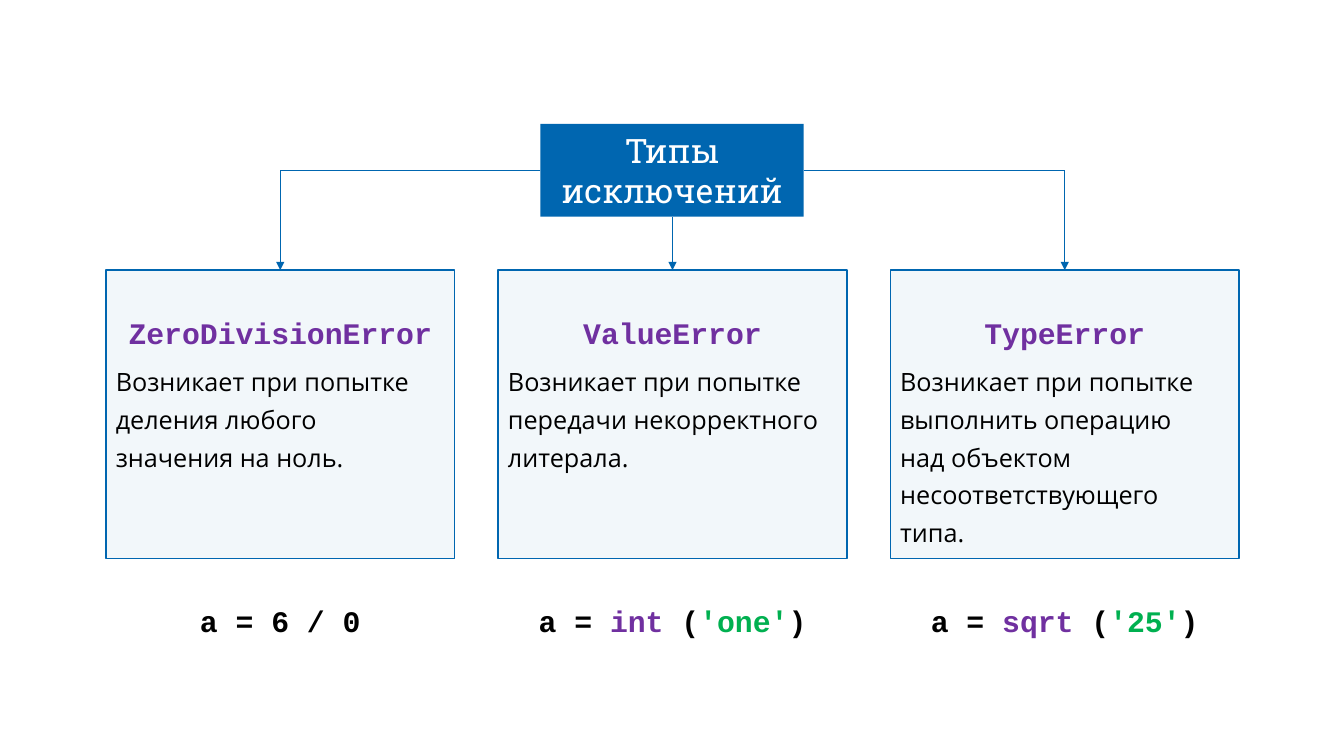
from lxml.etree import SubElement
from pptx import Presentation
from pptx.dml.color import RGBColor
from pptx.enum.shapes import MSO_CONNECTOR, MSO_SHAPE
from pptx.enum.text import MSO_ANCHOR, MSO_AUTO_SIZE, PP_ALIGN
from pptx.oxml.ns import qn
from pptx.util import Inches, Pt

COLORS = {
    "blue": "0066B0",
    "purple": "7030A0",
    "green": "00B050",
    "black": "000000",
    "white": "FFFFFF",
}


class ExceptionSlide:
    heading_font = "Roboto Slab"
    body_font = "Open Sans"
    code_font = "Courier New"
    code_size = 21.3

    def __init__(self, presentation):
        self.slide = presentation.slides.add_slide(presentation.slide_layouts[5])

    def color(self, name):
        return RGBColor.from_string(COLORS[name])

    def style(self, paragraph, font, size, color=None, bold=False, align=PP_ALIGN.LEFT):
        paragraph.alignment = align
        paragraph.font.name = font
        paragraph.font.size = Pt(size)
        paragraph.font.bold = bold
        if color:
            paragraph.font.color.rgb = self.color(color)

    def title(self, text, left, top, width, height):
        heading = self.slide.shapes.title
        heading.left, heading.top = Inches(left), Inches(top)
        heading.width, heading.height = Inches(width), Inches(height)
        heading.fill.solid()
        heading.fill.fore_color.rgb = self.color("blue")
        frame = heading.text_frame
        frame.text = text
        frame.word_wrap = True
        frame.auto_size = MSO_AUTO_SIZE.NONE
        frame.vertical_anchor = MSO_ANCHOR.MIDDLE
        self.style(frame.paragraphs[0], self.heading_font, 24, "white", align=PP_ALIGN.CENTER)

    def card(self, name, left, top, width, height):
        box = self.slide.shapes.add_shape(
            MSO_SHAPE.RECTANGLE, Inches(left), Inches(top), Inches(width), Inches(height))
        box.shadow.inherit = False
        box.fill.solid()
        box.fill.fore_color.rgb = self.color("blue")
        tint = box.fill._xPr.find(qn("a:solidFill"))[0]
        SubElement(tint, qn("a:alpha"), val="5000")
        box.line.color.rgb = self.color("blue")
        box.line.width = Pt(1)
        frame = box.text_frame
        frame.text = name
        frame.word_wrap = True
        frame.vertical_anchor = MSO_ANCHOR.TOP
        frame.margin_top = Inches(0.44)
        self.style(frame.paragraphs[0], self.code_font, self.code_size, "purple", True,
                   PP_ALIGN.CENTER)

    def text_frame(self, left, top, width, height):
        frame = self.slide.shapes.add_textbox(
            Inches(left), Inches(top), Inches(width), Inches(height)).text_frame
        frame.word_wrap = True
        return frame

    def description(self, lines, left, top, width):
        frame = self.text_frame(left, top, width, 0.1 + 0.38 * len(lines))
        frame.text = "\n".join(lines)
        for paragraph in frame.paragraphs:
            self.style(paragraph, self.body_font, 18, "black")
            paragraph.line_spacing = 1.25

    def code(self, tokens, left, top, width):
        paragraph = self.text_frame(left, top, width, 0.46).paragraphs[0]
        self.style(paragraph, self.code_font, self.code_size, bold=True, align=PP_ALIGN.CENTER)
        for text, color in tokens:
            token = paragraph.add_run()
            token.text = text
            token.font.color.rgb = self.color(color)

    def line(self, start, end, arrow=False):
        branch = self.slide.shapes.add_connector(
            MSO_CONNECTOR.STRAIGHT, *(Inches(value) for value in (*start, *end)))
        branch.line.color.rgb = self.color("blue")
        branch.line.width = Pt(1)
        if arrow:
            SubElement(branch.line._get_or_add_ln(), qn("a:tailEnd"), type="triangle")
        SubElement(branch._element.spPr, qn("a:effectLst"))


def call_tokens(function, argument):
    return [("a = ", "black"), (function, "purple"), (" (", "black"),
            (argument, "green"), (")", "black")]


EXCEPTIONS = [
    ("ZeroDivisionError",
     ["Возникает при попытке", "деления любого", "значения на ноль."],
     [("a = 6 / 0", "black")]),
    ("ValueError",
     ["Возникает при попытке", "передачи некорректного", "литерала."],
     call_tokens("int", "'one'")),
    ("TypeError",
     ["Возникает при попытке", "выполнить операцию", "над объектом",
      "несоответствующего", "типа."],
     call_tokens("sqrt", "'25'")),
]


def main():
    presentation = Presentation()
    presentation.slide_width, presentation.slide_height = Inches(13.33), Inches(7.5)
    slide = ExceptionSlide(presentation)

    title_left, title_top, title_width, title_height = 5.36, 1.23, 2.61, 0.92
    title_middle = title_top + title_height / 2
    title_bottom = title_top + title_height
    card_left, card_top, card_width, card_height, card_pitch = 1.05, 2.68, 3.46, 2.86, 3.89
    slide.title("Типы исключений", title_left, title_top, title_width, title_height)

    centers = []
    for index, (name, lines, tokens) in enumerate(EXCEPTIONS):
        left = card_left + index * card_pitch
        centers.append(left + card_width / 2)
        slide.card(name, left, card_top, card_width, card_height)
        slide.description(lines, left, 3.51, card_width)
        slide.code(tokens, left, 5.93, card_width)

    first, middle, last = centers
    slide.line((middle, title_bottom), (middle, card_top), arrow=True)
    for title_edge, center in ((title_left, first), (title_left + title_width, last)):
        slide.line((title_edge, title_middle), (center, title_middle))
        slide.line((center, title_middle), (center, card_top), arrow=True)

    presentation.save("out.pptx")


if __name__ == "__main__":
    main()
